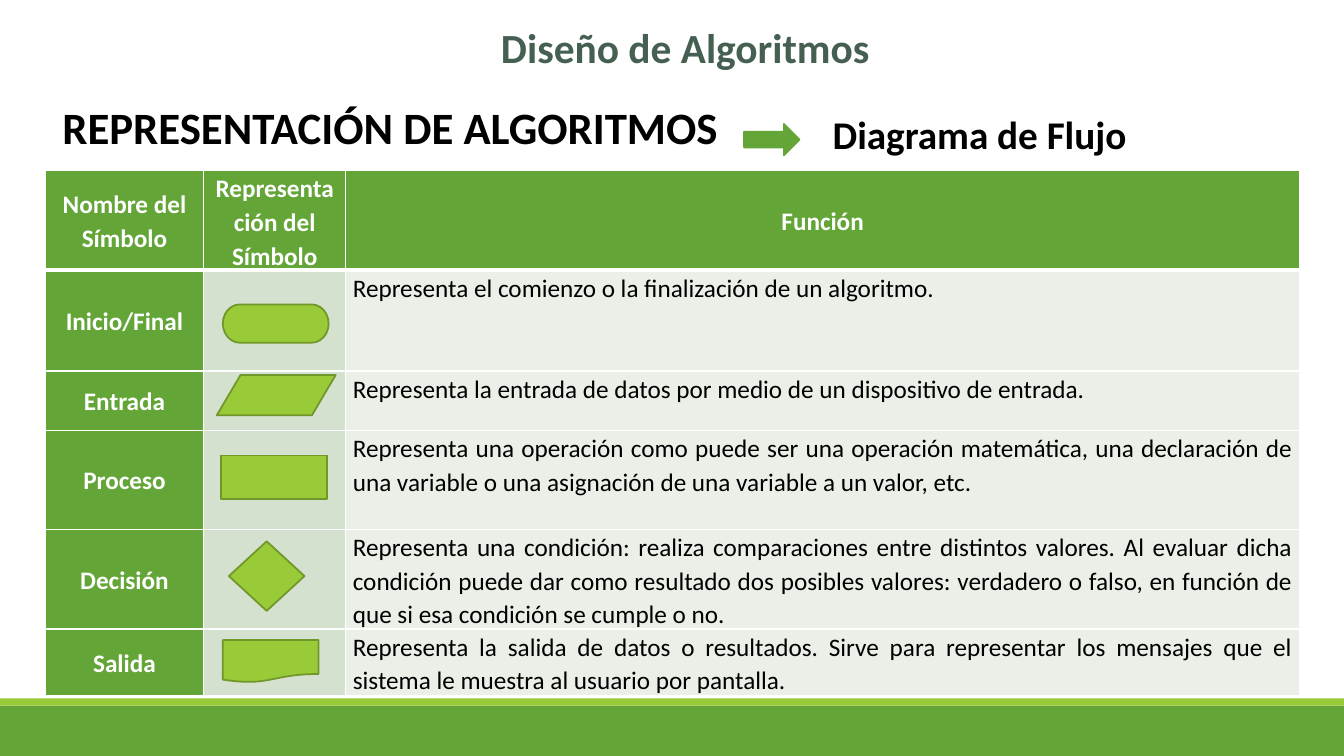
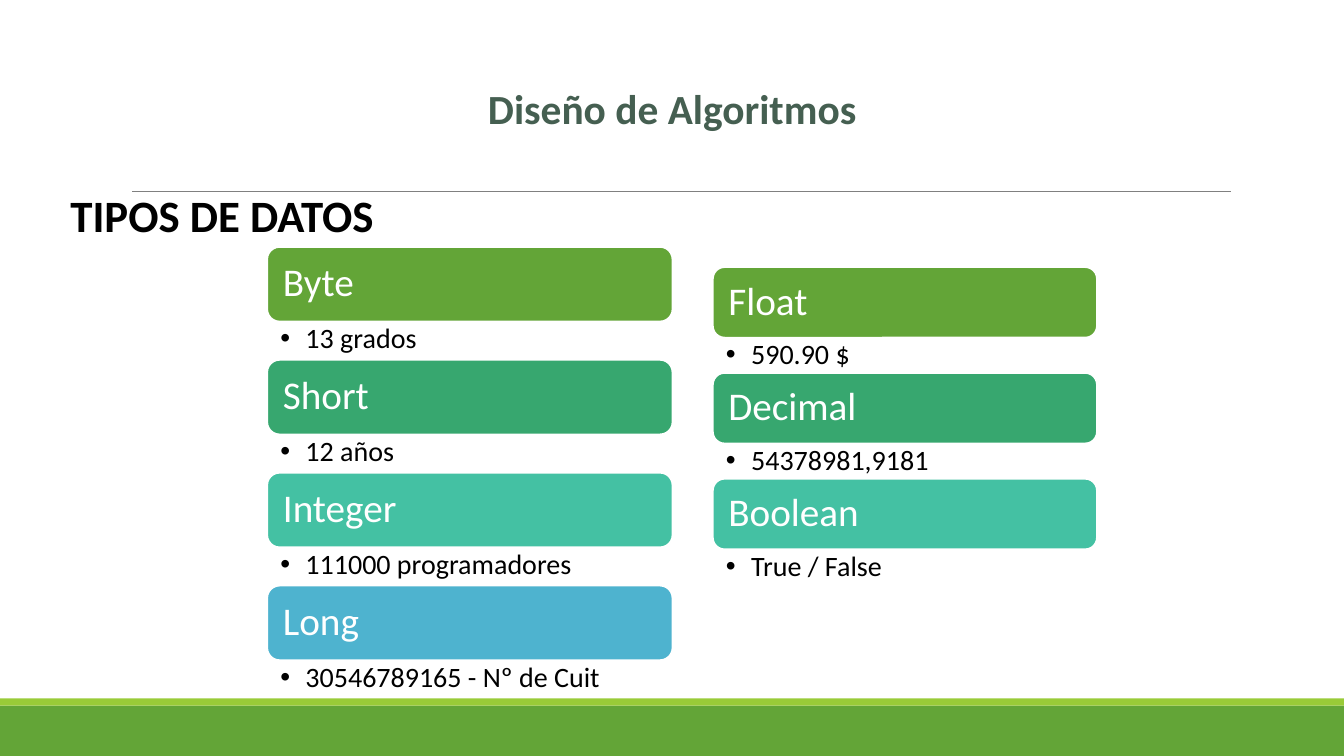
from dataclasses import dataclass

from lxml import etree
from pptx import Presentation
from pptx import util as u
from pptx.dml.color import RGBColor
from pptx.enum import shapes, text
from pptx.oxml import ns

PX = 9144  # EMU in one px, at 100 px to the inch
SLIDE_W, SLIDE_H = 1333, 750
FONT = "Calibri"

WHITE = RGBColor(0xFF, 0xFF, 0xFF)
BLACK = RGBColor(0x00, 0x00, 0x00)
GRAY = RGBColor(0x80, 0x80, 0x80)
TITLE_GREEN = RGBColor(0x45, 0x5F, 0x51)
GREEN = RGBColor(0x63, 0xA5, 0x37)
LIME = RGBColor(0x99, 0xCB, 0x38)
LIME_EDGE = RGBColor(0x71, 0x96, 0x29)
SYMBOL_CELL = RGBColor(0xD3, 0xE1, 0xCE)
FUNCTION_CELL = RGBColor(0xEA, 0xF0, 0xE8)
CARD_COLORS = (GREEN, RGBColor(0x37, 0xA7, 0x6F),
               RGBColor(0x44, 0xC1, 0xA3), RGBColor(0x4E, 0xB3, 0xCF))

SHAPE = shapes.MSO_SHAPE
ALIGN = text.PP_ALIGN
ANCHOR = text.MSO_ANCHOR


@dataclass(frozen=True)
class Box:
    left: int
    top: int
    width: int
    height: int

    def emu(self) -> tuple[int, ...]:
        return tuple(v * PX for v in (self.left, self.top, self.width, self.height))


@dataclass(frozen=True)
class Symbol:
    name: str
    function: str
    row_height: int
    outline: SHAPE
    box: Box


@dataclass(frozen=True)
class DataType:
    name: str
    example: str


@dataclass(frozen=True)
class TypeStack:
    """A column of cards, each followed by its example."""
    left: int
    top: int
    width: int
    card_height: int
    example_height: int
    types: tuple[DataType, ...]


HEADERS = ("Nombre del Símbolo", "Representación del Símbolo", "Función")
HEADER_HEIGHT = 99
COLUMN_WIDTHS = (157, 141, 946)
SYMBOLS = (
    Symbol("Inicio/Final", "Representa el comienzo o la finalización de un algoritmo.",
           100, SHAPE.FLOWCHART_TERMINATOR, Box(221, 302, 105, 38)),
    Symbol("Entrada",
           "Representa la entrada de datos por medio de un dispositivo de entrada.",
           59, SHAPE.FLOWCHART_DATA, Box(215, 372, 118, 40)),
    Symbol("Proceso",
           "Representa una operación como puede ser una operación matemática, una "
           "declaración de una variable o una asignación de una variable a un valor, etc.",
           98, SHAPE.FLOWCHART_PROCESS, Box(219, 452, 105, 43)),
    Symbol("Decisión",
           "Representa una condición: realiza comparaciones entre distintos valores. Al "
           "evaluar dicha condición puede dar como resultado dos posibles valores: "
           "verdadero o falso, en función de que si esa condición se cumple o no.",
           98, SHAPE.DIAMOND, Box(227, 537, 75, 69)),
    Symbol("Salida",
           "Representa la salida de datos o resultados. Sirve para representar los "
           "mensajes que el sistema le muestra al usuario por pantalla.",
           66, SHAPE.FLOWCHART_DOCUMENT, Box(221, 635, 95, 42)),
)

TYPE_STACKS = (
    TypeStack(265, 245, 402, 74, 38, (
        DataType("Byte", "13 grados"),
        DataType("Short", "12 años"),
        DataType("Integer", "111000 programadores"),
        DataType("Long", "30546789165 - Nº de Cuit"),
    )),
    TypeStack(707, 265, 381, 70, 35, (
        DataType("Float", "590.90 $"),
        DataType("Decimal", "54378981,9181"),
        DataType("Boolean", "True / False"),
    )),
)


def style(paragraph, size: float, color: RGBColor, bold: bool = False,
          align: ALIGN = ALIGN.LEFT, line_spacing: float = 1.0) -> None:
    paragraph.alignment = align
    paragraph.line_spacing = line_spacing
    font = paragraph.font
    font.name, font.size, font.bold = FONT, u.Pt(size), bold
    font.color.rgb = color


def set_insets(frame, left: int, top: int, right: int, bottom: int) -> None:
    """Works on text frames and on table cells."""
    frame.margin_left, frame.margin_top = left * PX, top * PX
    frame.margin_right, frame.margin_bottom = right * PX, bottom * PX


def add_figure(slide, outline: SHAPE, box: Box, fill: RGBColor,
               edge: RGBColor | None = None):
    figure = slide.shapes.add_shape(outline, *box.emu())
    figure.shadow.inherit = False
    figure.fill.solid()
    figure.fill.fore_color.rgb = fill
    if edge is None:
        figure.line.fill.background()
    else:
        figure.line.color.rgb = edge
        figure.line.width = u.Pt(1.25)
    return figure


def add_text_frame(slide, box: Box):
    frame = slide.shapes.add_textbox(*box.emu()).text_frame
    frame.word_wrap = True
    return frame


def add_heading(slide, content: str, box: Box, size: int = 32) -> None:
    frame = add_text_frame(slide, box)
    frame.text = content
    style(frame.paragraphs[0], size, BLACK, bold=True)


def add_base_slide(prs, title_left: int, title_top: int):
    """Adds a slide with the course title and the two bottom bands."""
    slide = prs.slides.add_slide(prs.slide_layouts[5])
    add_figure(slide, SHAPE.RECTANGLE, Box(0, 700, SLIDE_W, 50), GREEN)
    add_figure(slide, SHAPE.RECTANGLE, Box(0, 693, SLIDE_W, 7), LIME)
    title = slide.shapes.title
    title.left, title.top, title.width, title.height = Box(
        title_left, title_top, 900, 47).emu()
    frame = title.text_frame
    frame.text = "Diseño de Algoritmos"
    frame.auto_size = text.MSO_AUTO_SIZE.NONE
    frame.vertical_anchor = ANCHOR.TOP
    set_insets(frame, 0, 0, 0, 0)
    style(frame.paragraphs[0], 29.6, TITLE_GREEN, bold=True, align=ALIGN.CENTER)
    return slide


def add_rule(slide) -> None:
    """Thin line under the title."""
    rule = slide.shapes.add_connector(
        shapes.MSO_CONNECTOR.STRAIGHT, 131 * PX, 190 * PX, 1221 * PX, 190 * PX)
    rule.line.color.rgb = GRAY
    rule.line.width = u.Pt(0.5)
    etree.SubElement(rule._element.spPr, ns.qn("a:effectLst"))


def set_borders(cell, top: int, bottom: int) -> None:
    """White cell borders, widths in points; call before filling the cell."""
    properties = cell._tc.get_or_add_tcPr()
    for side, width in (("L", 1), ("R", 1), ("T", top), ("B", bottom)):
        line = etree.SubElement(properties, ns.qn(f"a:ln{side}"), w=str(u.Pt(width)))
        fill = etree.SubElement(line, ns.qn("a:solidFill"))
        etree.SubElement(fill, ns.qn("a:srgbClr"), val=str(WHITE))


def fill_cell(cell, content: str, row: int, column: int) -> None:
    set_borders(cell, top=3 if row == 1 else 1, bottom=3 if row == 0 else 1)
    is_label = row == 0 or column == 0
    cell.fill.solid()
    cell.fill.fore_color.rgb = (
        GREEN if is_label else (SYMBOL_CELL, FUNCTION_CELL)[column - 1])
    if not content:
        return
    set_insets(cell, 7, 0, 7, 0)
    cell.vertical_anchor = ANCHOR.MIDDLE if is_label else ANCHOR.TOP
    cell.text = content
    style(cell.text_frame.paragraphs[0], 18, WHITE if is_label else BLACK,
          bold=is_label, align=ALIGN.CENTER if is_label else ALIGN.JUSTIFY,
          line_spacing=1.1)


def add_symbol_table(slide) -> None:
    heights = (HEADER_HEIGHT, *(symbol.row_height for symbol in SYMBOLS))
    rows = (HEADERS, *((symbol.name, "", symbol.function) for symbol in SYMBOLS))
    box = Box(45, 169, sum(COLUMN_WIDTHS), sum(heights))
    table = slide.shapes.add_table(len(rows), len(HEADERS), *box.emu()).table
    for column, width in zip(table.columns, COLUMN_WIDTHS):
        column.width = width * PX
    for r, (height, contents) in enumerate(zip(heights, rows)):
        table.rows[r].height = height * PX
        for c, content in enumerate(contents):
            fill_cell(table.cell(r, c), content, r, c)


def add_bullet(paragraph) -> None:
    properties = paragraph._p.get_or_add_pPr()
    properties.set("marL", str(25 * PX))
    properties.set("indent", str(-25 * PX))
    etree.SubElement(properties, ns.qn("a:buFont"), typeface="Arial")
    etree.SubElement(properties, ns.qn("a:buChar"), char="•")


def add_type_stack(slide, stack: TypeStack) -> None:
    step = stack.card_height + stack.example_height
    for i, (data_type, color) in enumerate(zip(stack.types, CARD_COLORS)):
        top = stack.top + i * step
        card = add_figure(slide, SHAPE.ROUNDED_RECTANGLE,
                          Box(stack.left, top, stack.width, stack.card_height),
                          color, WHITE)
        name = card.text_frame
        name.text = data_type.name
        name.vertical_anchor = ANCHOR.MIDDLE
        set_insets(name, 12, 12, 12, 12)
        style(name.paragraphs[0], 28, WHITE, line_spacing=0.9)

        example = add_text_frame(slide, Box(stack.left, top + stack.card_height,
                                            stack.width, stack.example_height))
        example.text = data_type.example
        set_insets(example, 13, 3, 16, 3)
        add_bullet(example.paragraphs[0])
        style(example.paragraphs[0], 20, BLACK, line_spacing=0.9)


def build_flowchart_slide(prs) -> None:
    slide = add_base_slide(prs, 230, 22)
    add_heading(slide, "REPRESENTACIÓN DE ALGORITMOS", Box(52, 94, 773, 64))
    add_heading(slide, "Diagrama de Flujo", Box(816, 105, 450, 57), size=28)
    add_symbol_table(slide)
    for symbol in SYMBOLS:
        add_figure(slide, symbol.outline, symbol.box, LIME, LIME_EDGE)
    add_figure(slide, SHAPE.RIGHT_ARROW, Box(738, 123, 55, 31), GREEN, GREEN)


def build_data_types_slide(prs) -> None:
    slide = add_base_slide(prs, 217, 82)
    add_rule(slide)
    add_heading(slide, "TIPOS DE DATOS", Box(60, 181, 363, 64))
    for stack in TYPE_STACKS:
        add_type_stack(slide, stack)


def main() -> None:
    prs = Presentation()
    prs.slide_width, prs.slide_height = SLIDE_W * PX, SLIDE_H * PX
    build_flowchart_slide(prs)
    build_data_types_slide(prs)
    prs.save("out.pptx")


if __name__ == "__main__":
    main()
